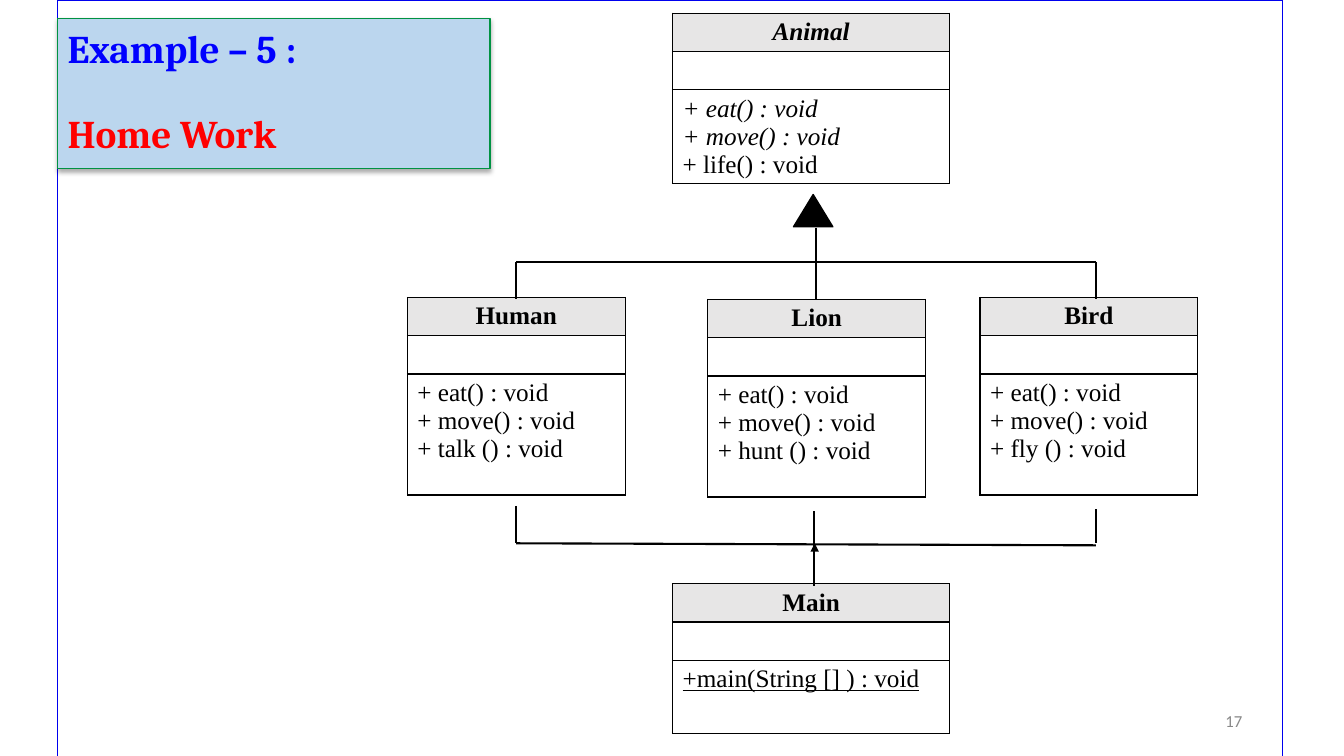
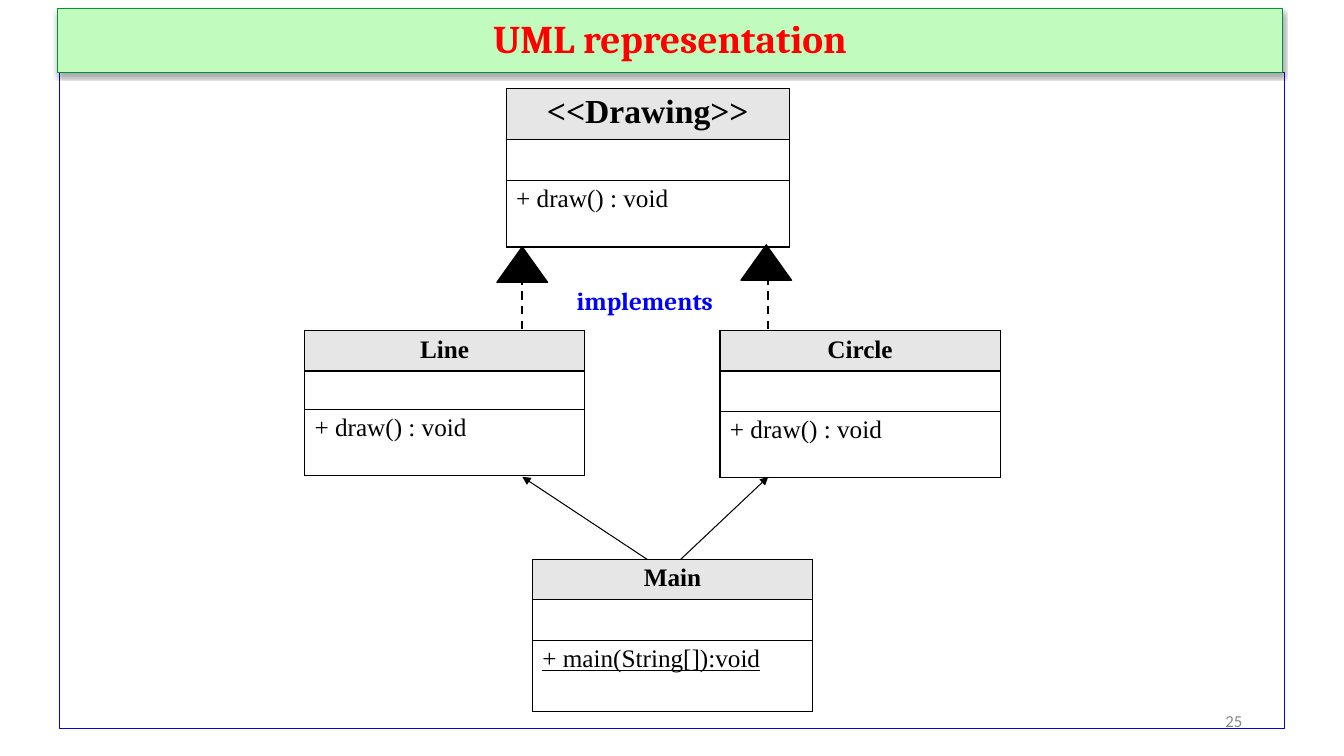
"""Build two UML class diagram slides."""
import dataclasses

import lxml.etree
import pptx
import pptx.dml.color
import pptx.enum.dml
import pptx.enum.shapes
import pptx.enum.text
import pptx.oxml.ns
import pptx.util

Inches = pptx.util.Inches
Pt = pptx.util.Pt
qn = pptx.oxml.ns.qn
ALIGN = pptx.enum.text.PP_ALIGN
ANCHOR = pptx.enum.text.MSO_ANCHOR


@dataclasses.dataclass(frozen=True)
class Theme:
    black: str = "000000"
    white: str = "FFFFFF"
    frame: str = "0000EE"
    blue: str = "0000FF"
    red: str = "FF0000"
    grey: str = "888888"
    header: str = "E7E6E6"
    title_line: str = "009242"
    sky: str = "BBD6EE"
    mint: str = "C1FBBD"
    title_font: str = "Cambria"
    diagram_font: str = "Times New Roman"
    number_font: str = "Calibri"
    title_size: int = 28
    interface_size: int = 24
    text_size: int = 18
    number_size: int = 12
    thin: float = 0.75
    border: float = 1
    thick: float = 1.5


THEME = Theme()
ITALIC = {"italic": True}
UNDERLINED = {"underline": True}
DRAW = [("+ draw() : void", {})]


def animal_methods(own):
    return [(f"+ {name} : void", {}) for name in ("eat()", "move()", own)]


SLIDES = [
    {
        "number": "17",
        "frame": (0.57, 0, 12.15, 7.53),
        "title": {
            "box": (0.57, 0.18, 4.29, 1.49), "fill": THEME.sky, "align": ALIGN.LEFT,
            "lines": [("Example – 5 :", THEME.blue), ("Home Work", THEME.red)],
        },
        "classes": [
            {"name": "Animal", "at": (6.67, 0.13, 2.75), "rows": (0.38, 0.38, 0.93),
             "name_style": ITALIC,
             "methods": [("+ eat() : void", ITALIC), ("+ move() : void", ITALIC),
                         ("+ life() : void", {})]},
            {"name": "Human", "at": (4.04, 2.95, 2.16), "rows": (0.38, 0.38, 1.2),
             "methods": animal_methods("talk ()")},
            {"name": "Lion", "at": (7.02, 2.97, 2.16), "rows": (0.38, 0.38, 1.2),
             "methods": animal_methods("hunt ()")},
            {"name": "Bird", "at": (9.72, 2.95, 2.16), "rows": (0.38, 0.38, 1.2),
             "methods": animal_methods("fly ()")},
            {"name": "Main", "at": (6.67, 5.79, 2.75), "rows": (0.38, 0.38, 0.73),
             "methods": [("+main(String [] ) : void", UNDERLINED)]},
        ],
        "triangles": [(7.87, 1.93, 0.39, 0.32)],
        "lines": [
            (8.09, 2.26, 8.09, 2.97), (5.12, 2.6, 10.87, 2.6),
            (5.12, 2.6, 5.12, 2.97), (10.87, 2.6, 10.87, 2.97),
            (5.12, 5.02, 5.12, 5.39), (8.07, 5.07, 8.07, 5.81),
            (10.87, 5.05, 10.87, 5.39), (5.12, 5.39, 10.87, 5.41),
        ],
        "dashes": [],
        "arrows": [(8.08, 5.79, 8.08, 5.39)],
        "labels": [],
    },
    {
        "number": "25",
        "frame": (0.59, 0.72, 12.15, 6.51),
        "title": {
            "box": (0.57, 0.08, 12.15, 0.64), "fill": THEME.mint, "align": ALIGN.CENTER,
            "lines": [("UML representation", THEME.red)],
        },
        "classes": [
            {"name": "<<Drawing>>", "at": (5.02, 0.88, 2.81), "rows": (0.47, 0.41, 0.66),
             "name_size": THEME.interface_size, "methods": DRAW},
            {"name": "Line", "at": (3.02, 3.28, 2.78), "rows": (0.38, 0.38, 0.66),
             "methods": DRAW},
            {"name": "Circle", "at": (7.14, 3.28, 2.78), "rows": (0.4, 0.4, 0.66),
             "methods": DRAW},
            {"name": "Main", "at": (5.28, 5.55, 2.78), "rows": (0.4, 0.4, 0.71),
             "methods": [("+ main(String[]):void", UNDERLINED)]},
        ],
        "triangles": [(4.93, 2.45, 0.5, 0.35), (7.35, 2.43, 0.5, 0.35)],
        "lines": [],
        "dashes": [(5.18, 2.45, 5.18, 3.28), (7.62, 2.45, 7.62, 3.28)],
        "arrows": [(6.42, 5.55, 5.18, 4.73), (6.75, 5.55, 7.62, 4.73)],
        "labels": [("implements", (5.52, 2.78, 1.75, 0.4))],
    },
]


def inches(values):
    return [Inches(value) for value in values]


def rgb(colour):
    return pptx.dml.color.RGBColor.from_string(colour)


def add_xml(parent, tag, **attributes):
    return lxml.etree.SubElement(parent, qn(tag), attributes)


def paint(shape, fill, line, width):
    shape.fill.solid()
    shape.fill.fore_color.rgb = rgb(fill)
    shape.line.color.rgb = rgb(line)
    shape.line.width = Pt(width)


def add_run(paragraph, text, font, size, colour, bold=False, italic=False, underline=False):
    run = paragraph.add_run()
    run.text = text
    run.font.name = font
    run.font.size = Pt(size)
    run.font.color.rgb = rgb(colour)
    run.font.bold = bold
    run.font.italic = italic
    run.font.underline = underline


def paragraphs(frame, count):
    return [frame.paragraphs[0]] + [frame.add_paragraph() for _ in range(count - 1)]


def add_preset(slide, kind, box, fill, line):
    shape = slide.shapes.add_shape(kind, *inches(box))
    shape.shadow.inherit = False
    paint(shape, fill, line, THEME.border)
    return shape


def add_frame(slide, box):
    kind = pptx.enum.shapes.MSO_SHAPE.RECTANGLE
    frame = add_preset(slide, kind, box, THEME.white, THEME.frame)
    slide.shapes.title._element.addprevious(frame._element)


def add_title(slide, box, fill, align, lines):
    title = slide.shapes.title
    title.left, title.top, title.width, title.height = inches(box)
    paint(title, fill, THEME.title_line, THEME.thin)
    effects = add_xml(title._element.spPr, "a:effectLst")
    shadow = add_xml(effects, "a:outerShdw", blurRad=str(Pt(3.5)), dist=str(Pt(2.2)),
                     dir="5400000", algn="t", rotWithShape="0")
    colour = add_xml(shadow, "a:srgbClr", val=THEME.black)
    add_xml(colour, "a:alpha", val="32000")
    frame = title.text_frame
    frame.word_wrap = True
    frame.auto_size = pptx.enum.text.MSO_AUTO_SIZE.NONE
    frame.vertical_anchor = ANCHOR.MIDDLE
    for index, paragraph in enumerate(paragraphs(frame, len(lines))):
        text, colour = lines[index]
        paragraph.alignment = align
        paragraph.line_spacing = 0.9
        paragraph.space_before = Pt(30 if index else 0)
        add_run(paragraph, text, THEME.title_font, THEME.title_size, colour, bold=True)


def format_cell(cell, fill=None):
    cell.margin_left = cell.margin_right = Inches(0.1)
    cell.margin_top = cell.margin_bottom = Inches(0.05)
    properties = cell._tc.get_or_add_tcPr()
    for side in ("a:lnL", "a:lnR", "a:lnT", "a:lnB"):
        line = add_xml(properties, side, w=str(Pt(THEME.border)))
        add_xml(add_xml(line, "a:solidFill"), "a:srgbClr", val=THEME.black)
    if fill:
        cell.fill.solid()
        cell.fill.fore_color.rgb = rgb(fill)
    else:
        cell.fill.background()


def add_class(slide, name, at, rows, methods, name_style=None, name_size=THEME.text_size):
    left, top, width = at
    box = inches((left, top, width, sum(rows)))
    table = slide.shapes.add_table(len(rows), 1, *box).table
    table.first_row = table.horz_banding = False
    for row, height in zip(table.rows, rows):
        row.height = Inches(height)
    header, attributes, body = (table.cell(index, 0) for index in range(len(rows)))
    format_cell(header, THEME.header)
    format_cell(attributes)
    format_cell(body)
    heading = header.text_frame.paragraphs[0]
    heading.alignment = ALIGN.CENTER
    add_run(heading, name, THEME.diagram_font, name_size, THEME.black, bold=True,
            **(name_style or {}))
    add_xml(attributes.text_frame.paragraphs[0]._p, "a:endParaRPr",
            sz=str(THEME.number_size * 100))
    for paragraph, (text, style) in zip(paragraphs(body.text_frame, len(methods)), methods):
        add_run(paragraph, text, THEME.diagram_font, THEME.text_size, THEME.black, **style)


def add_line(slide, ends, width, dashed=False, arrow=False):
    kind = pptx.enum.shapes.MSO_CONNECTOR.STRAIGHT
    connector = slide.shapes.add_connector(kind, *inches(ends))
    connector.line.color.rgb = rgb(THEME.black)
    connector.line.width = Pt(width)
    if dashed:
        connector.line.dash_style = pptx.enum.dml.MSO_LINE.DASH
    if arrow:
        add_xml(connector.line._get_or_add_ln(), "a:tailEnd", type="triangle")
    add_xml(connector._element.spPr, "a:effectLst")


def add_text(slide, text, box, align, anchor, *font, **style):
    shape = slide.shapes.add_textbox(*inches(box))
    shape.text_frame.word_wrap = True
    shape.text_frame.vertical_anchor = anchor
    paragraph = shape.text_frame.paragraphs[0]
    paragraph.alignment = align
    add_run(paragraph, text, *font, **style)
    return shape


def build_slide(presentation, content):
    slide = presentation.slides.add_slide(presentation.slide_layouts[5])
    add_frame(slide, content["frame"])
    add_title(slide, **content["title"])
    for text, box in content["labels"]:
        label = add_text(slide, text, box, ALIGN.CENTER, ANCHOR.TOP, THEME.title_font,
                         THEME.text_size, THEME.blue, bold=True)
        label.fill.solid()
        label.fill.fore_color.rgb = rgb(THEME.white)
    for uml_class in content["classes"]:
        add_class(slide, **uml_class)
    for ends in content["lines"]:
        add_line(slide, ends, THEME.thick)
    for ends in content["dashes"]:
        add_line(slide, ends, THEME.thick, dashed=True)
    for ends in content["arrows"]:
        add_line(slide, ends, THEME.thin, arrow=True)
    for box in content["triangles"]:
        kind = pptx.enum.shapes.MSO_SHAPE.ISOSCELES_TRIANGLE
        add_preset(slide, kind, box, THEME.black, THEME.black)
    add_text(slide, content["number"], (9.42, 6.95, 3, 0.4), ALIGN.RIGHT, ANCHOR.MIDDLE,
             THEME.number_font, THEME.number_size, THEME.grey)


def main():
    presentation = pptx.Presentation()
    presentation.slide_width = Inches(13.33)
    presentation.slide_height = Inches(7.5)
    for content in SLIDES:
        build_slide(presentation, content)
    presentation.save("out.pptx")


if __name__ == "__main__":
    main()
